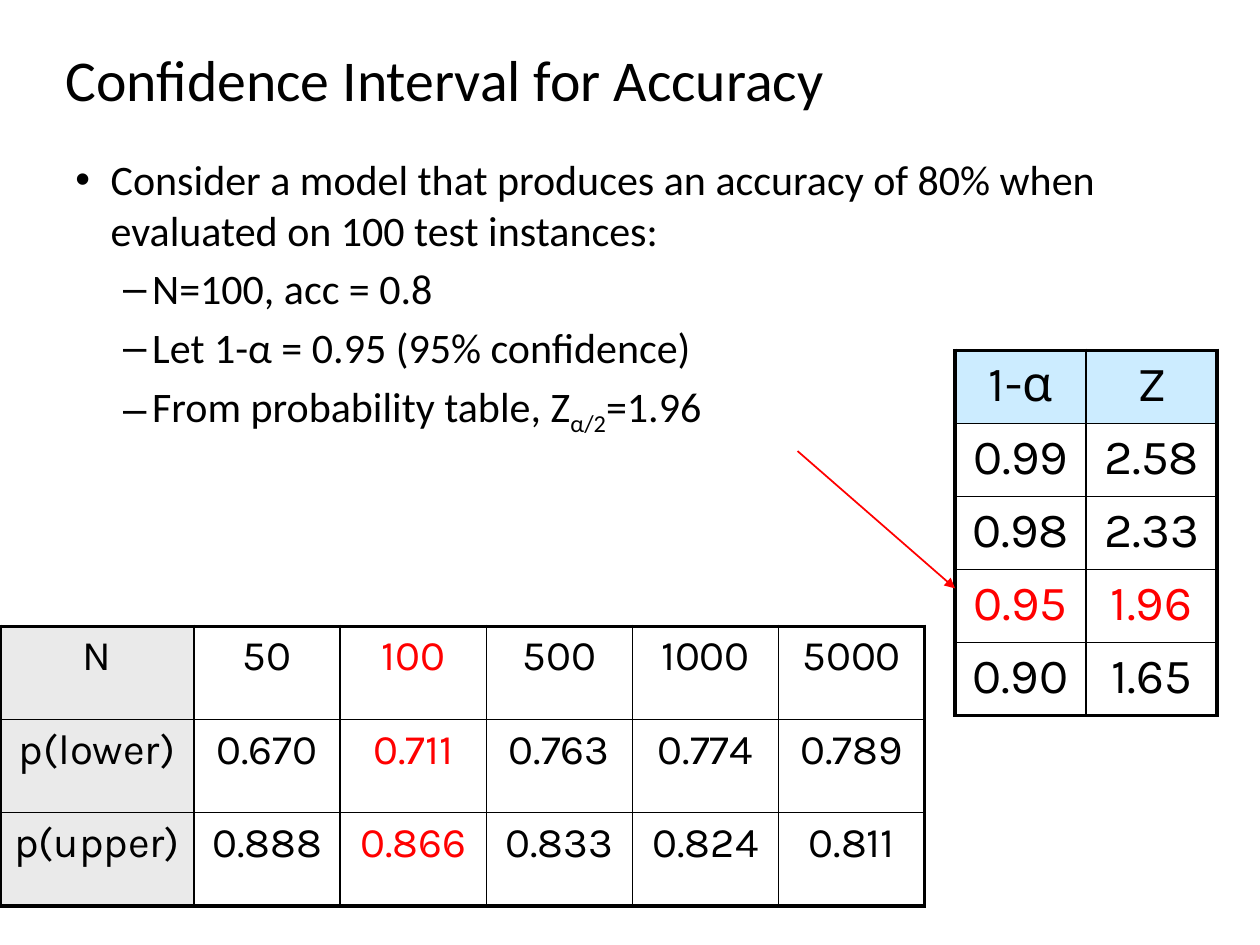
from dataclasses import dataclass

from lxml import etree
from pptx import Presentation
from pptx import util as u
from pptx.dml.color import RGBColor
from pptx.enum import shapes, text
from pptx.oxml import ns


@dataclass(frozen=True)
class Theme:
    """Colours, fonts and type sizes of the slide."""
    ink: str = "000000"
    accent: str = "FF0000"
    header_blue: str = "CCECFF"
    header_grey: str = "EAEAEA"
    text_font: str = "Calibri"
    table_font: str = "Karla"
    title_size: float = 33
    body_size: float = 24
    z_size: float = 28
    bounds_size: float = 24
    outer_border: float = 2.25
    inner_border: float = 1


@dataclass(frozen=True)
class Bullet:
    """One bulleted paragraph; the subscript sits between lead and tail."""
    lead: str
    mark: str
    indent: float
    hanging: float
    level: int = 1
    subscript: str = ""
    tail: str = ""


@dataclass(frozen=True)
class TableData:
    """A bordered table with one shaded header row or column."""
    left: float
    top: float
    column_widths: list[float]
    row_height: float
    rows: list[list[str]]
    size: float
    header_fill: str
    header_is_row: bool
    accent_index: int


THEME = Theme()
BULLETS = [
    Bullet("Consider a model that produces an accuracy of 80% when "
           "evaluated on 100 test instances:", "•", 0.28, 0.28, level=0),
    Bullet("N=100, acc = 0.8", "–", 0.61, 0.23),
    Bullet("Let 1-α = 0.95 (95% confidence)", "–", 0.61, 0.23),
    Bullet("From probability table, Z", "–", 0.61, 0.23,
           subscript="α/2", tail="=1.96"),
]
Z_TABLE = TableData(
    7.58, 2.78, [1.04] * 2, 0.58,
    [["1-α", "Z"], ["0.99", "2.58"], ["0.98", "2.33"],
     ["0.95", "1.96"], ["0.90", "1.65"]],
    THEME.z_size, THEME.header_blue, header_is_row=True, accent_index=3)
BOUNDS_TABLE = TableData(
    0, 4.97, [1.54] + [1.16] * 5, 0.74,
    [["N", "50", "100", "500", "1000", "5000"],
     ["p(lower)", "0.670", "0.711", "0.763", "0.774", "0.789"],
     ["p(upper)", "0.888", "0.866", "0.833", "0.824", "0.811"]],
    THEME.bounds_size, THEME.header_grey, header_is_row=False, accent_index=2)


def style_run(run, font: str, size: float, color: str = THEME.ink) -> None:
    """Set the font, size and colour of a run."""
    run.font.name = font
    run.font.size = u.Pt(size)
    run.font.color.rgb = RGBColor.from_string(color)


def add_text_frame(slide, left: float, top: float, width: float, height: float):
    """Add a wrapping text box and return its text frame."""
    box = slide.shapes.add_textbox(*map(u.Inches, (left, top, width, height)))
    box.text_frame.word_wrap = True
    return box.text_frame


def add_title(slide, title: str) -> None:
    """Add the slide title."""
    frame = add_text_frame(slide, 0.42, 0, 9, 1.25)
    frame.vertical_anchor = text.MSO_ANCHOR.MIDDLE
    frame.text = title
    style_run(frame.paragraphs[0].runs[0], THEME.text_font, THEME.title_size)


def format_bullet(paragraph, bullet: Bullet) -> None:
    """Apply level, spacing, hanging indent and bullet mark."""
    paragraph.level = bullet.level
    paragraph.space_before = u.Pt(0.2 * THEME.body_size)
    properties = paragraph._p.get_or_add_pPr()
    properties.set("marL", str(u.Inches(bullet.indent)))
    properties.set("indent", str(-u.Inches(bullet.hanging)))
    etree.SubElement(properties, ns.qn("a:buFont")).set("typeface", "Arial")
    etree.SubElement(properties, ns.qn("a:buChar")).set("char", bullet.mark)


def add_bullets(slide, bullets: list[Bullet]) -> None:
    """Add the body text."""
    frame = add_text_frame(slide, 0.5, 1.17, 9, 4.95)
    frame.text = "\n".join(bullet.lead for bullet in bullets)
    for paragraph, bullet in zip(frame.paragraphs, bullets):
        format_bullet(paragraph, bullet)
        if bullet.subscript:
            subscript = paragraph.add_run()
            subscript.text = bullet.subscript
            subscript.font._element.set("baseline", "-25000")
            paragraph.add_run().text = bullet.tail
        for run in paragraph.runs:
            style_run(run, THEME.text_font, THEME.body_size)


def set_borders(cell, outer_sides: dict[str, bool]) -> None:
    """Draw cell borders, thicker on the table's outer sides."""
    properties = cell._tc.get_or_add_tcPr()
    for position, (side, is_outer) in enumerate(outer_sides.items()):
        width = THEME.outer_border if is_outer else THEME.inner_border
        line = etree.Element(ns.qn(f"a:ln{side}"), w=str(u.Pt(width)))
        fill = etree.SubElement(line, ns.qn("a:solidFill"))
        etree.SubElement(fill, ns.qn("a:srgbClr")).set("val", THEME.ink)
        properties.insert(position, line)


def add_data_table(slide, data: TableData) -> None:
    """Add a table with its header shading and accented row or column."""
    row_count, column_count = len(data.rows), len(data.column_widths)
    table = slide.shapes.add_table(
        row_count, column_count, u.Inches(data.left), u.Inches(data.top),
        u.Inches(sum(data.column_widths)),
        u.Inches(data.row_height * row_count)).table
    table.first_row = table.horz_banding = False
    for column, width in zip(table.columns, data.column_widths):
        column.width = u.Inches(width)
    for row_index, values in enumerate(data.rows):
        table.rows[row_index].height = u.Inches(data.row_height)
        for column_index, value in enumerate(values):
            cell = table.cell(row_index, column_index)
            index = row_index if data.header_is_row else column_index
            if index == 0:
                cell.fill.solid()
                cell.fill.fore_color.rgb = RGBColor.from_string(data.header_fill)
            else:
                cell.fill.background()
            set_borders(cell, {"L": column_index == 0,
                               "R": column_index == column_count - 1,
                               "T": row_index == 0,
                               "B": row_index == row_count - 1})
            cell.text_frame.text = value
            paragraph = cell.text_frame.paragraphs[0]
            paragraph.alignment = text.PP_ALIGN.CENTER
            color = THEME.accent if index == data.accent_index else THEME.ink
            style_run(paragraph.runs[0], THEME.table_font, data.size, color)


def add_arrow(slide, start: tuple[float, float], end: tuple[float, float]) -> None:
    """Add the arrow that points at the chosen Z value."""
    arrow = slide.shapes.add_connector(
        shapes.MSO_CONNECTOR.STRAIGHT, *map(u.Inches, start + end))
    arrow.line.color.rgb = RGBColor.from_string(THEME.accent)
    arrow.line.width = u.Pt(1)
    line = arrow.line._get_or_add_ln()
    etree.SubElement(line, ns.qn("a:tailEnd")).set("type", "triangle")
    etree.SubElement(arrow._element.spPr, ns.qn("a:effectLst"))


def main() -> None:
    """Build and save the slide."""
    presentation = Presentation()
    presentation.slide_width = u.Inches(10)
    presentation.slide_height = u.Inches(7.5)
    slide = presentation.slides.add_slide(presentation.slide_layouts[6])
    add_title(slide, "Confidence Interval for Accuracy")
    add_bullets(slide, BULLETS)
    add_data_table(slide, Z_TABLE)
    add_arrow(slide, (6.33, 3.58), (7.58, 4.67))
    add_data_table(slide, BOUNDS_TABLE)
    presentation.save("out.pptx")


main()
